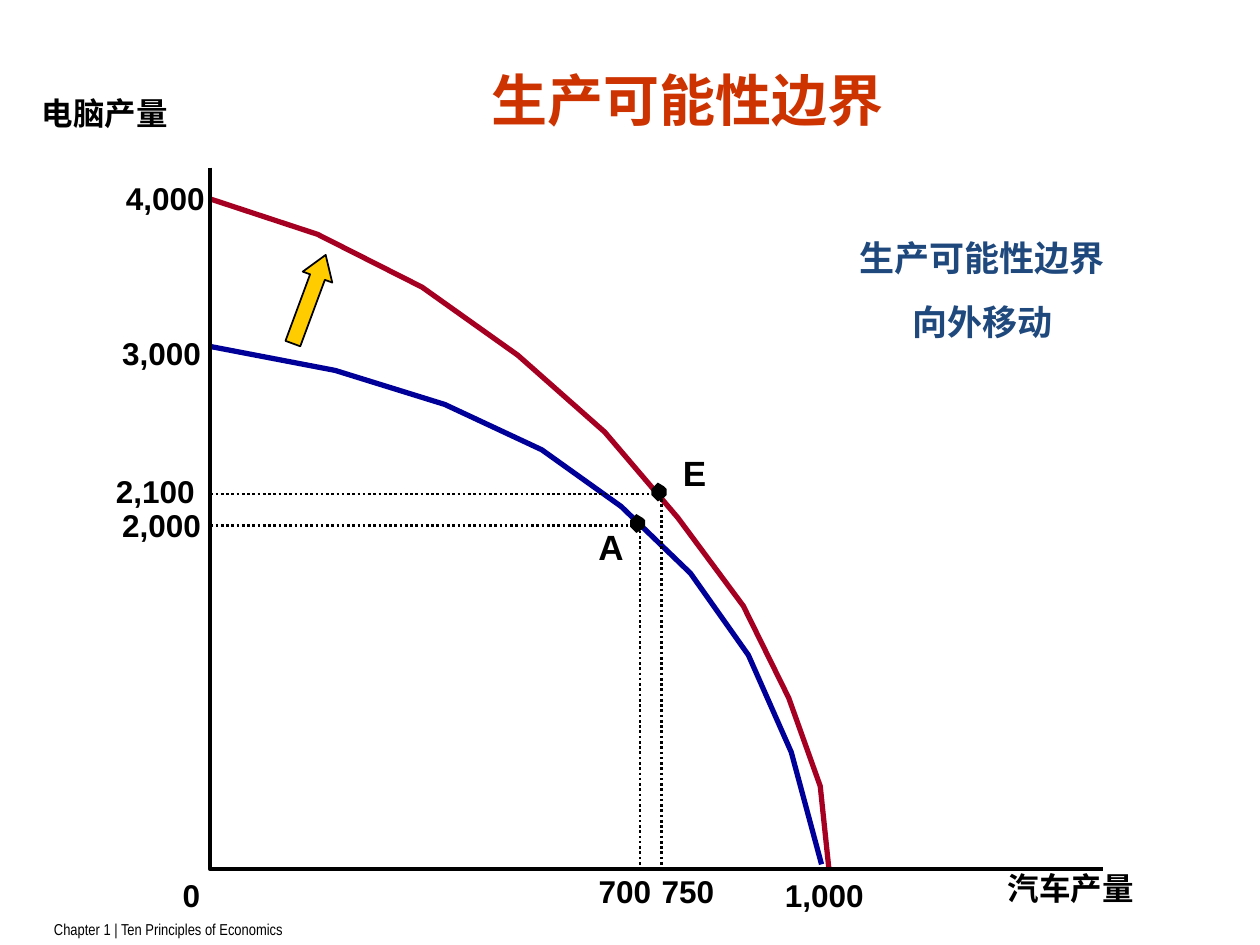
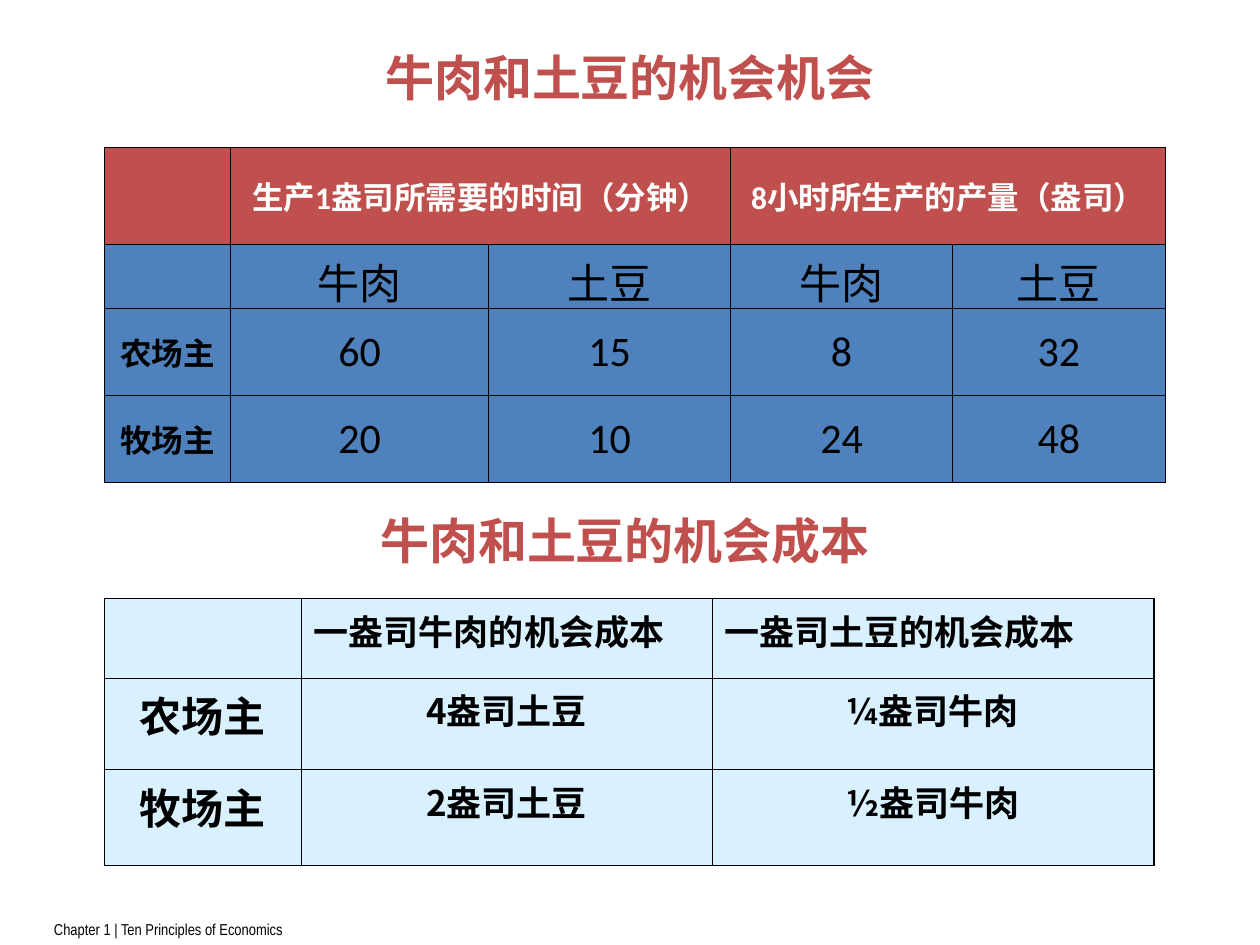
from lxml.etree import SubElement
from pptx import Presentation
from pptx.dml.color import RGBColor
from pptx.enum.dml import MSO_LINE_DASH_STYLE as Dash
from pptx.enum.shapes import MSO_CONNECTOR as Connector, MSO_SHAPE as Shape
from pptx.enum.text import MSO_ANCHOR as Anchor, PP_ALIGN as Align
from pptx.oxml import parse_xml
from pptx.oxml.ns import nsdecls, qn
from pptx.util import Inches, Pt

COLORS = {
    "black": "000000", "white": "FFFFFF", "title": "CC3300", "heading": "C0504D",
    "note": "1F497D", "outer": "A50021", "inner": "000099", "arrow": "FFCC00",
    "body": "4F81BD", "pale": "D9F1FF",
}
CJK_FONT = "Noto Sans CJK SC"
FOOTER = "Chapter 1 | Ten Principles of Economics"

FRONTIER_TITLE = "生产可能性边界"
SHIFT_NOTE = ["生产可能性边界", "向外移动"]
AXES = [(1.67, 1.33), (1.67, 6.9), (8.75, 6.9)]
OUTER_FRONTIER = [(6.58, 6.91), (6.51, 6.24), (6.26, 5.54), (5.9, 4.81), (5.38, 4.11),
                  (4.8, 3.43), (4.11, 2.82), (3.35, 2.28), (2.52, 1.86), (1.67, 1.58)]
INNER_FRONTIER = [(6.52, 6.86), (6.28, 5.97), (5.94, 5.2), (5.48, 4.55), (4.93, 4.02),
                  (4.3, 3.57), (3.53, 3.21), (2.66, 2.94), (1.67, 2.75)]
DOT_OUTLINE = [(0.05, 0.15), (0.1, 0.12), (0.12, 0.1), (0.12, 0.05), (0.1, 0.03),
               (0.05, 0), (0.02, 0.03), (0, 0.05), (0, 0.1), (0.02, 0.12)]
AXIS_LABELS = [
    ("电脑产量", 0.33, 0.75, 1.83), ("汽车产量", 8, 6.9, 2),
    ("4,000", 1, 1.42, 0.63), ("3,000", 0.97, 2.65, 0.63),
    ("2,100", 0.92, 3.75, 0.63), ("2,000", 0.97, 4.02, 0.63),
    ("0", 1.45, 6.95, 0.14), ("700", 4.75, 6.92, 0.42),
    ("750", 5.25, 6.92, 0.42), ("1,000", 6.23, 6.95, 0.63),
]
POINTS = [
    {"name": "A", "label": (4.75, 4.17), "dot": (5, 4.08), "guide": (5.08, 4.17), "reach": 5.08},
    {"name": "E", "label": (5.42, 3.58), "dot": (5.17, 3.83), "guide": (5.25, 3.92), "reach": 5.17},
]
GUIDE_BOTTOM = 6.92

OUTPUT_TITLE = "牛肉和土豆的机会机会"
COST_TITLE = "牛肉和土豆的机会成本"
OUTPUT = {
    "at": (0.83, 1.17), "cols": [1, 2.05, 1.92, 1.76, 1.69], "rows": [0.77, 0.51, 0.69, 0.69],
    "cells": [
        ["", "生产1盎司所需要的时间（分钟）", "", "8小时所生产的产量（盎司）", ""],
        ["", "牛肉", "土豆", "牛肉", "土豆"],
        ["农场主", "60", "15", "8", "32"],
        ["牧场主", "20", "10", "24", "48"],
    ],
    "merges": [(0, 1, 2), (0, 3, 4)],
}
COST = {
    "at": (0.83, 4.75), "cols": [1.56, 3.26, 3.51], "rows": [0.63, 0.73, 0.76],
    "cells": [
        ["", "一盎司牛肉的机会成本", "一盎司土豆的机会成本"],
        ["农场主", "4盎司土豆", "¼盎司牛肉"],
        ["牧场主", "2盎司土豆", "½盎司牛肉"],
    ],
    "merges": [],
}


def rgb(name):
    return RGBColor.from_string(COLORS[name])


def write(frame, text, size=18, font="Arial", color="black", bold=True, align=Align.LEFT, gap=0):
    lines = [text] if isinstance(text, str) else text
    for index, line in enumerate(lines):
        paragraph = frame.add_paragraph() if index else frame.paragraphs[0]
        paragraph.alignment = align
        paragraph.space_before = Pt(gap if index else 0)
        run = paragraph.add_run()
        run.text = line
        run.font.size, run.font.name, run.font.bold = Pt(size), font, bold
        run.font.color.rgb = rgb(color)
        SubElement(run.font._element, qn("a:ea"), typeface=CJK_FONT)


def add_text(slide, text, left, top, width, height, inset=True, wrap=True,
             anchor=Anchor.TOP, **style):
    box = slide.shapes.add_textbox(Inches(left), Inches(top), Inches(width), Inches(height))
    frame = box.text_frame
    frame.word_wrap, frame.vertical_anchor = wrap, anchor
    frame.margin_left = frame.margin_right = Inches(0.1 if inset else 0)
    frame.margin_top = frame.margin_bottom = Inches(0.05 if inset else 0)
    write(frame, text, **style)
    return box


def add_outline(slide, points, fill=None, line=None, weight=3.0):
    corners = [(Inches(x), Inches(y)) for x, y in points]
    builder = slide.shapes.build_freeform(*corners[0])
    builder.add_line_segments(corners[1:], close=fill is not None)
    outline = builder.convert_to_shape()
    outline.shadow.inherit = False
    if fill:
        outline.fill.solid()
        outline.fill.fore_color.rgb = rgb(fill)
    else:
        outline.fill.background()
    if line:
        outline.line.color.rgb = rgb(line)
        outline.line.width = Pt(weight)
    else:
        outline.line.fill.background()


def add_guide(slide, start, end):
    guide = slide.shapes.add_connector(Connector.STRAIGHT, *map(Inches, start + end))
    guide.line.color.rgb = rgb("black")
    guide.line.width = Pt(1.5)
    guide.line.dash_style = Dash.ROUND_DOT
    SubElement(guide._element.spPr, qn("a:effectLst"))


def set_borders(cell, outer_sides):
    properties = cell._tc.get_or_add_tcPr()
    for position, side in enumerate("LRTB"):
        weight = Pt(1.08 if side in outer_sides else 0.45)
        properties.insert(position, parse_xml(
            f'<a:ln{side} {nsdecls("a")} w="{weight}"><a:solidFill>'
            f'<a:srgbClr val="{COLORS["black"]}"/></a:solidFill></a:ln{side}>'))


def add_grid(slide, data, style_for):
    cols, rows = data["cols"], data["rows"]
    size = map(Inches, (*data["at"], sum(cols), sum(rows)))
    table = slide.shapes.add_table(len(rows), len(cols), *size).table
    table.first_row = table.horz_banding = False
    for column, width in zip(table.columns, cols):
        column.width = Inches(width)
    for row, height in zip(table.rows, rows):
        row.height = Inches(height)
    for row, first, last in data["merges"]:
        table.cell(row, first).merge(table.cell(row, last))
    for r, texts in enumerate(data["cells"]):
        for c, text in enumerate(texts):
            cell = table.cell(r, c)
            fill, anchor, style = style_for(r, c)
            cell.fill.solid()
            cell.fill.fore_color.rgb = rgb(fill)
            cell.vertical_anchor = anchor
            right = c + (cell.span_width if cell.is_merge_origin else 1)
            edges = {"L": c == 0, "R": right == len(cols), "T": r == 0, "B": r == len(rows) - 1}
            set_borders(cell, [side for side, outer in edges.items() if outer])
            if text:
                write(cell.text_frame, text, **style)


def output_style(row, col):
    header, name = row == 0, col == 0
    style = dict(font="Calibri", align=Align.CENTER, bold=header or name,
                 size=18 if header or name else 24, color="white" if header else "black")
    return "heading" if header else "body", Anchor.MIDDLE, style


def cost_style(row, col):
    style = dict(font=CJK_FONT, size=20 if col else 24, align=Align.CENTER if row else Align.LEFT)
    return "pale", Anchor.TOP, style


def new_slide(deck):
    slide = deck.slides.add_slide(deck.slide_layouts[6])
    add_text(slide, FOOTER, 0.33, 7.25, 7.58, 0.25, size=9, font="Arial Narrow", bold=False)
    return slide


def build_frontier(deck):
    slide = new_slide(deck)
    add_outline(slide, OUTER_FRONTIER, line="outer")
    add_text(slide, FRONTIER_TITLE, 1.42, 0, 8.08, 1.58, anchor=Anchor.MIDDLE,
             size=32, font="Calibri", color="title", align=Align.CENTER)
    add_outline(slide, INNER_FRONTIER, line="inner")
    add_outline(slide, AXES, line="black", weight=2.25)
    for text, left, top, width in AXIS_LABELS:
        add_text(slide, text, left, top, width, 0.3, inset=False, wrap=width > 1)
    for point in POINTS:
        x, y = point["guide"]
        add_guide(slide, (AXES[0][0], y), (point["reach"], y))
        add_guide(slide, (x, y), (x, GUIDE_BOTTOM))
        left, top = point["dot"]
        add_outline(slide, [(left + dx, top + dy) for dx, dy in DOT_OUTLINE], fill="black")
        add_text(slide, point["name"], *point["label"], 0.2, 0.33, inset=False, wrap=False, size=20)
    arrow = slide.shapes.add_shape(Shape.UP_ARROW, *map(Inches, (2.33, 2, 0.25, 0.75)))
    arrow.adjustments[0], arrow.adjustments[1] = 0.5, 0.75
    arrow.rotation = 20.3
    arrow.shadow.inherit = False
    arrow.fill.solid()
    arrow.fill.fore_color.rgb = rgb("arrow")
    arrow.line.color.rgb = rgb("black")
    arrow.line.width = Pt(1)
    add_text(slide, SHIFT_NOTE, 6.42, 1.83, 2.75, 0.94, size=20, font="Karla",
             color="note", align=Align.CENTER, gap=12.5)


def build_costs(deck):
    slide = new_slide(deck)
    title = add_text(slide, OUTPUT_TITLE, 0.5, 0.33, 9, 1.25, size=28, font="Calibri",
                     color="heading", align=Align.CENTER)
    title.fill.solid()
    title.fill.fore_color.rgb = rgb("white")
    title.line.color.rgb = rgb("white")
    title.line.width = Pt(0.75)
    add_grid(slide, COST, cost_style)
    add_grid(slide, OUTPUT, output_style)
    add_text(slide, COST_TITLE, 2.92, 4, 6.83, 0.57, size=28, color="heading")


def main():
    deck = Presentation()
    deck.slide_width, deck.slide_height = Inches(10), Inches(7.5)
    build_frontier(deck)
    build_costs(deck)
    deck.save("out.pptx")


if __name__ == "__main__":
    main()
